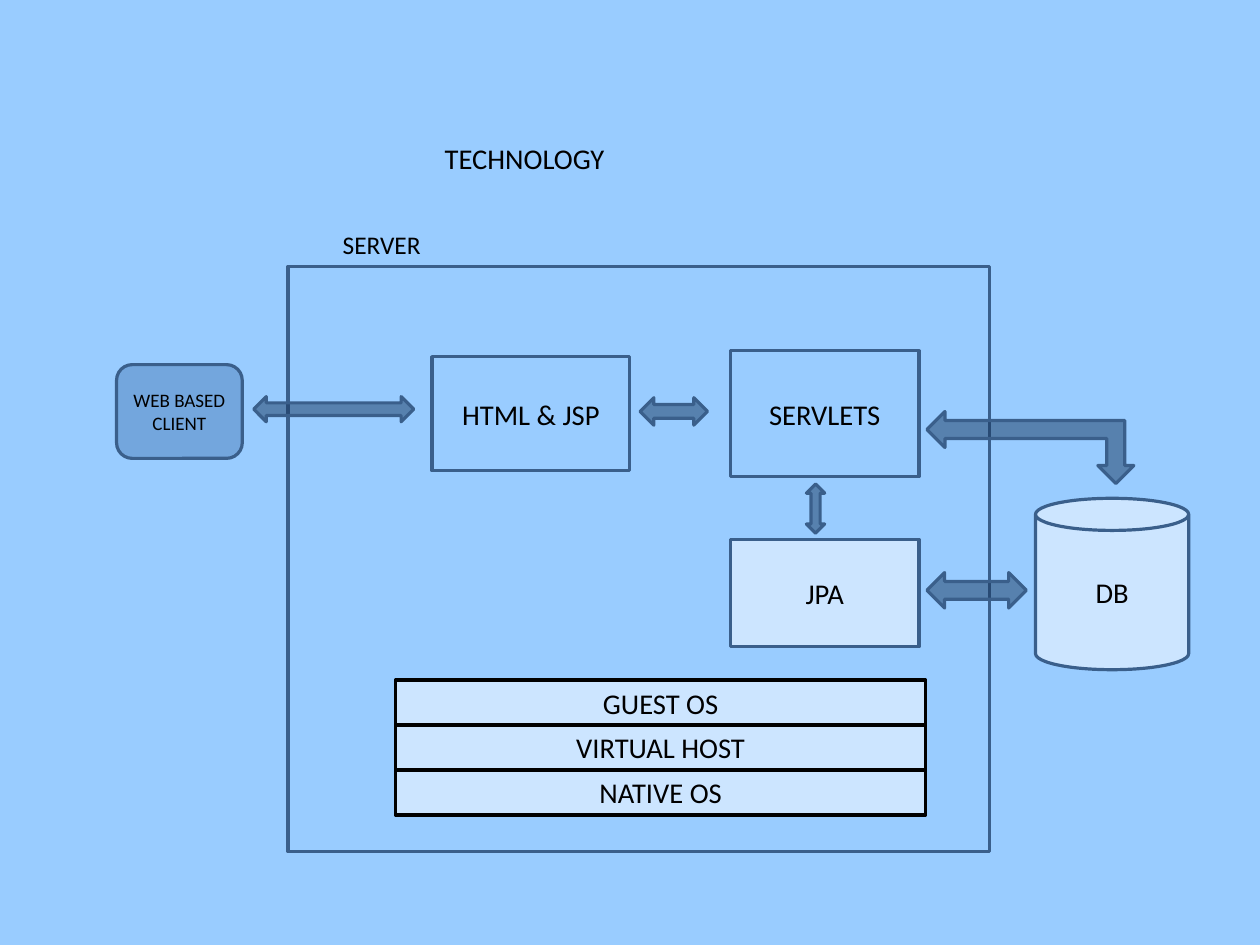
from collections import namedtuple

from lxml.etree import SubElement
from pptx import Presentation
from pptx.dml.color import RGBColor
from pptx.enum.shapes import MSO_SHAPE
from pptx.enum.text import MSO_ANCHOR, MSO_AUTO_SIZE, PP_ALIGN
from pptx.oxml.ns import qn
from pptx.util import Cm, Inches, Pt

CELL = 0.1  # inches per grid column and row
SKY, BLACK, WHITE = "99CCFF", "000000", "FFFFFF"
NAVY, STEEL, BLUE = "17375E", "3A5F8B", "4F81BD"

# Column, row, columns wide, rows high
Box = namedtuple("Box", "left top width height")

SHAPE_TEXT = {"word_wrap": True, "vertical_anchor": MSO_ANCHOR.MIDDLE}
LABEL_TEXT = {"word_wrap": False, "vertical_anchor": MSO_ANCHOR.TOP,
              "auto_size": MSO_AUTO_SIZE.SHAPE_TO_FIT_TEXT}


def color(hex_code):
    return RGBColor.from_string(hex_code)


def apply(target, values):
    for name, value in values.items():
        setattr(target, name, value)


def inside(box, left, top, width, height):
    """A box whose corner is counted from the corner of another box."""
    return Box(box.left + left, box.top + top, width, height)


def lengths(box):
    return [Inches(cells * CELL) for cells in box]


def write(shape, text, size, frame_format, align):
    frame = shape.text_frame
    frame.text = text
    apply(frame, frame_format)
    para = frame.paragraphs[0]
    para.alignment = align
    font = para.runs[0].font
    apply(font, {"name": "Calibri", "size": Pt(size)})
    font.color.rgb = color(BLACK)


def add_label(page, box, text, size):
    label = page.shapes.add_textbox(*lengths(box))
    write(label, text, size, LABEL_TEXT, PP_ALIGN.LEFT)


def add_node(page, kind, box, text="", fill=None, line=STEEL, size=18):
    """An outlined shape, filled at half strength if a fill is given."""
    node = page.shapes.add_shape(kind, *lengths(box))
    node.shadow.inherit = False
    node.line.color.rgb = color(line)
    node.line.width = Pt(2.01)
    if fill:
        node.fill.solid()
        node.fill.fore_color.rgb = color(fill)
        tint = node.fill._xPr.find(".//" + qn("a:srgbClr"))
        SubElement(tint, qn("a:alpha")).set("val", "50000")
    else:
        node.fill.background()
    if text:
        write(node, text, size, SHAPE_TEXT, PP_ALIGN.CENTER)
    return node


def add_link(page, box, kind=MSO_SHAPE.LEFT_RIGHT_ARROW, rotation=0):
    add_node(page, kind, box, fill=NAVY).rotation = rotation


def add_title(page, box):
    title = page.shapes.title
    apply(title, dict(zip(Box._fields, lengths(box))))
    write(title, "TECHNOLOGY", 18, LABEL_TEXT, PP_ALIGN.LEFT)


def add_platform(page, box):
    """Equal layers stacked from top to bottom."""
    layers = ["GUEST OS", "VIRTUAL HOST", "NATIVE OS"]
    height = box.height / len(layers)
    for row, name in enumerate(layers):
        layer = inside(box, 0, row * height, box.width, height)
        add_node(page, MSO_SHAPE.RECTANGLE, layer, name, WHITE, BLACK)


def add_server(page, box):
    add_node(page, MSO_SHAPE.FLOWCHART_PROCESS, box)
    add_label(page, inside(box, 3.8, -3.7, 8.8, 3.7), "SERVER", 16)
    # Application parts
    for name, place, fill in [
        ("HTML & JSP", (12.6, 7.9, 17.3, 10), None),
        ("SERVLETS", (38.7, 7.4, 16.5, 11), None),
        ("JPA", (38.7, 23.9, 16.5, 9.4), WHITE),
    ]:
        add_node(page, MSO_SHAPE.RECTANGLE, inside(box, *place), name, fill)
    # Links from the servlets to the pages and to JPA
    add_link(page, inside(box, 30.8, 11.5, 5.9, 2.4))
    add_link(page, inside(box, 44, 20.4, 4.3, 1.6), rotation=90)
    add_platform(page, inside(box, 9.4, 36.2, 46.4, 11.8))


def add_client(page, box):
    add_node(page, MSO_SHAPE.ROUNDED_RECTANGLE, box, "WEB BASED CLIENT",
             BLUE, size=12)
    add_link(page, inside(box, 12, 2.8, 14, 2.2))


def add_database(page, box):
    can = add_node(page, MSO_SHAPE.CAN, box, "DB", WHITE)
    can.adjustments[0] = 0.21
    # Links to JPA and, around the corner, to the servlets
    add_link(page, inside(box, -9.5, 6.5, 8.7, 3.1))
    add_link(page, inside(box, -3.6, -13.5, 6.3, 18.1),
             MSO_SHAPE.LEFT_UP_ARROW, 270)


deck = Presentation()
apply(deck, {"slide_width": Cm(28), "slide_height": Cm(21)})
page = deck.slides.add_slide(deck.slide_layouts.get_by_name("Title Only"))
page.background.fill.solid()
page.background.fill.fore_color.rgb = color(SKY)

add_title(page, Box(37.9, 11.8, 16, 4))
add_server(page, Box(25.2, 23.3, 61.4, 51.2))
add_client(page, Box(10.2, 31.9, 11, 8.2))
add_database(page, Box(90.6, 43.6, 13.4, 15))

deck.save("out.pptx")
